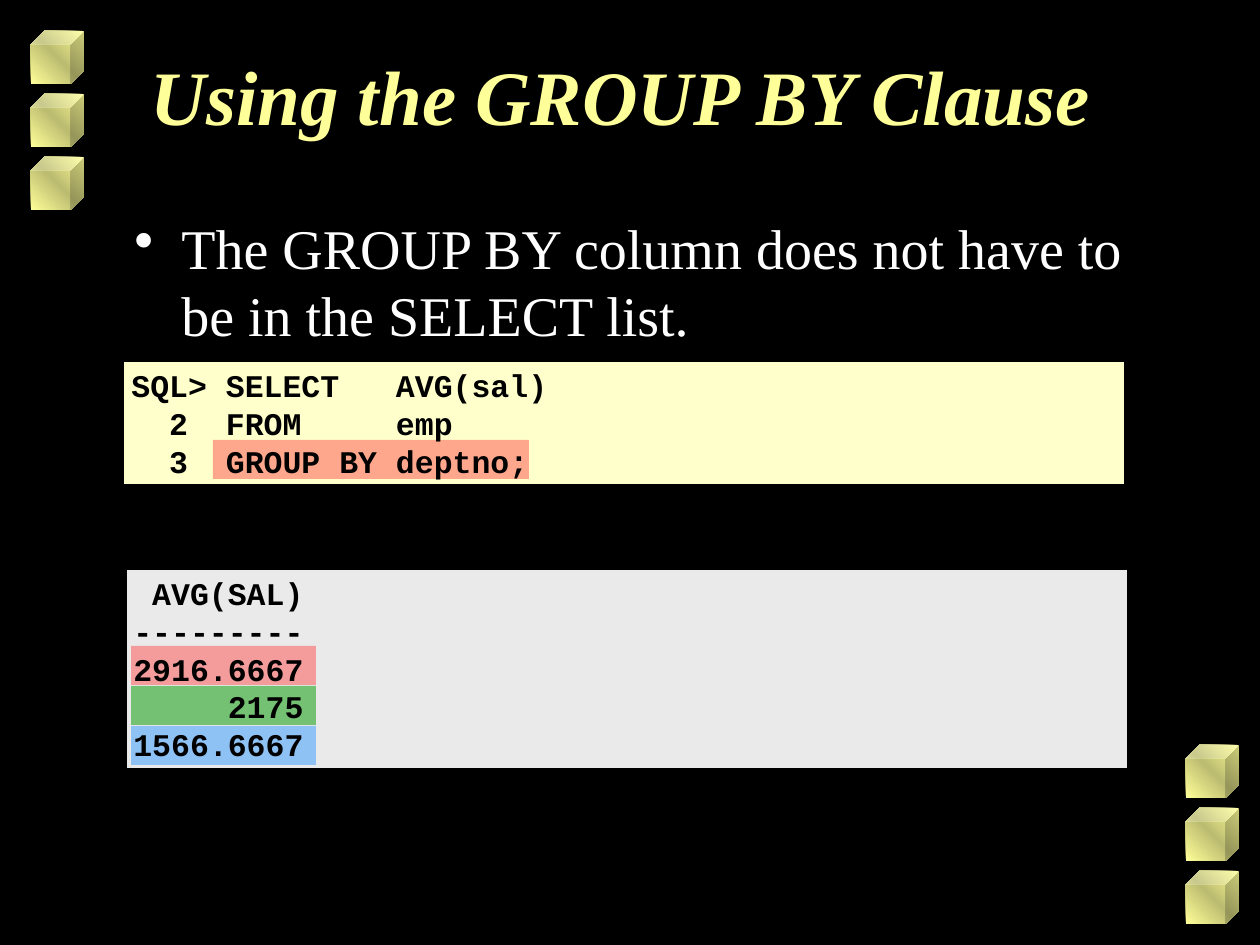
from dataclasses import dataclass
from lxml import etree
from pptx import Presentation
from pptx.dml.color import RGBColor as RGB
from pptx.enum.shapes import MSO_SHAPE as Kind
from pptx.enum.text import MSO_ANCHOR as Anchor, PP_ALIGN as Align
from pptx.oxml.ns import qn
from pptx.util import Pt

PX = 914400 // 126


@dataclass
class Theme:
    back: str = "000000"
    gold: str = "FFFF99"
    olive: str = "BCBC71"
    white: str = "FFFFFF"
    cream: str = "FFFFCC"
    gray: str = "EAEAEA"
    red: str = "FF5050"
    green: str = "009900"
    blue: str = "3399FF"
    serif: str = "Times New Roman"
    mono: str = "Courier New"
    head: int = 44
    body: int = 32
    code: int = 18


theme = Theme()
deck = Presentation()
deck.slide_width, deck.slide_height = 1260 * PX, 945 * PX
slide = deck.slides.add_slide(deck.slide_layouts[6])
slide.background.fill.solid()
slide.background.fill.fore_color.rgb = RGB.from_string(theme.back)


def add_box(kind, box, color):
    shape = slide.shapes.add_shape(kind, *[n * PX for n in box])
    shape.shadow.inherit = False
    shape.fill.solid()
    shape.fill.fore_color.rgb = RGB.from_string(color)
    shape.line.fill.background()
    return shape


def add_text(box, lines, font, size, color, bold=False, italic=False):
    frame = slide.shapes.add_textbox(*[n * PX for n in box]).text_frame
    frame.word_wrap = True
    for i, line in enumerate(lines):
        para = frame.paragraphs[0] if i == 0 else frame.add_paragraph()
        run = para.add_run()
        run.text = line
        run.font.name, run.font.size = font, Pt(size)
        run.font.bold, run.font.italic = bold, italic
        run.font.color.rgb = RGB.from_string(color)
    return frame


# Corner cubes with a three-stop gradient
stops = [(0, theme.gold), (50, theme.olive), (100, theme.gold)]
for left, top in [(31, 31), (1186, 745)]:
    for i in range(3):
        cube = add_box(Kind.CUBE, (left, top + 63 * i, 53, 53), theme.gold)
        cube.fill.gradient()
        cube.fill.gradient_angle = 45
        grad = cube.fill.gradient_stops
        group = cube._element.spPr.find(qn("a:gradFill")).find(qn("a:gsLst"))
        for old in list(group):
            group.remove(old)
        for place, color in stops:
            stop = etree.SubElement(group, qn("a:gs"), pos=str(place * 1000))
            etree.SubElement(stop, qn("a:srgbClr"), val=color)

# Code and result panels
for box, color in [((122, 360, 1004, 126), theme.cream),
                   ((125, 568, 1004, 202), theme.gray)]:
    panel = add_box(Kind.RECTANGLE, box, color)
    panel.line.color.rgb = RGB.from_string(theme.back)
    panel.line.width = Pt(2)

# Title
title = add_text((95, 42, 1071, 157), ["Using the GROUP BY Clause "],
                 theme.serif, theme.head, theme.gold, True, True)
title.paragraphs[0].alignment = Align.CENTER

# Bullet point
point = add_text((122, 207, 1045, 147),
                 ["The GROUP BY column does not have to be in the SELECT list."],
                 theme.serif, theme.body, theme.white)
props = point.paragraphs[0]._p.get_or_add_pPr()
props.set("marL", str(47 * PX))
props.set("indent", str(-47 * PX))
etree.SubElement(props, qn("a:buChar"), char="•")

# Half-clear highlights
marks = [((213, 440, 316, 39), theme.red)]
for i, color in enumerate([theme.red, theme.green, theme.blue]):
    marks.append(((131, 646 + 40 * i, 185, 39), color))
for box, color in marks:
    mark = add_box(Kind.RECTANGLE, box, color)
    tint = mark._element.spPr.find(qn("a:solidFill"))[0]
    etree.SubElement(tint, qn("a:alpha"), val="50000")

# Query and its result
query = ["SQL> SELECT   AVG(sal)", "  2  FROM     emp", "  3  GROUP BY deptno;"]
result = [" AVG(SAL)", "---------", "2916.6667", "     2175", "1566.6667"]
for box, lines in [((119, 358, 1008, 130), query),
                   ((121, 566, 1008, 205), result)]:
    frame = add_text(box, lines, theme.mono, theme.code, theme.back, True)
    frame.vertical_anchor = Anchor.MIDDLE

deck.save("out.pptx")
